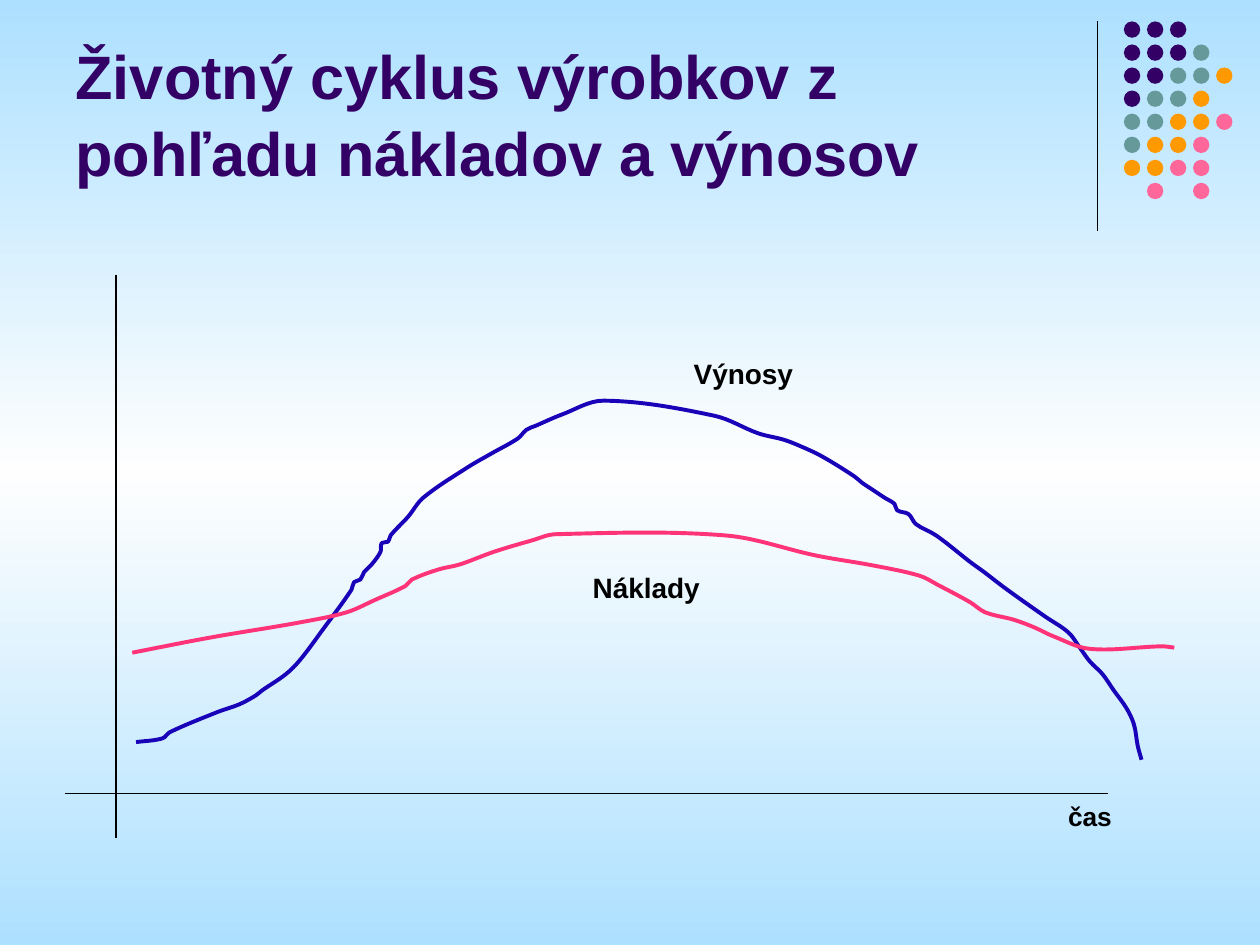
from copy import deepcopy
from math import dist

from pptx import Presentation
from pptx.dml.color import RGBColor
from pptx.enum.shapes import MSO_CONNECTOR, MSO_SHAPE
from pptx.enum.text import MSO_ANCHOR, MSO_AUTO_SIZE, PP_ALIGN
from pptx.oxml.ns import qn
from pptx.util import Inches, Pt

LINE, DOT = MSO_CONNECTOR.STRAIGHT, MSO_SHAPE.OVAL
LEFT, CENTER = PP_ALIGN.LEFT, PP_ALIGN.CENTER
BOTTOM, TOP = MSO_ANCHOR.BOTTOM, MSO_ANCHOR.TOP
NO_FIT = MSO_AUTO_SIZE.NONE
WIDTH, HEIGHT = 10, 7.5
COLORS = {
    "sky": "ADE0FF", "white": "FEFEFE", "black": "000000",
    "purple": "330066", "teal": "669999", "orange": "FF9900",
    "pink": "FF6699", "gains": "1903B9", "costs": "FF3377",
}
DOT_KEYS = {"p": "purple", "t": "teal", "o": "orange", "r": "pink"}
DOT_ROWS = ["ppp", "pppt", "pptto", "ptto", "ttoor", "toor", "oorr", " r r"]
GAINS = [
    (1.08, 5.89), (1.29, 5.86), (1.35, 5.81), (1.73, 5.65), (1.9, 5.59),
    (2.03, 5.52), (2.08, 5.48), (2.27, 5.35), (2.38, 5.24), (2.56, 5),
    (2.79, 4.68), (2.81, 4.62), (2.86, 4.6), (2.89, 4.54), (2.95, 4.48),
    (3.02, 4.38), (3.03, 4.31), (3.08, 4.3), (3.1, 4.25), (3.24, 4.1),
    (3.36, 3.95), (3.71, 3.71), (3.9, 3.6), (4.11, 3.48), (4.18, 3.41),
    (4.25, 3.38), (4.46, 3.29), (4.79, 3.18), (5.67, 3.3), (6.02, 3.44),
    (6.22, 3.49), (6.35, 3.54), (6.52, 3.62), (6.78, 3.78), (6.84, 3.83),
    (6.93, 3.89), (7.02, 3.95), (7.1, 4), (7.12, 4.05), (7.21, 4.08),
    (7.27, 4.16), (7.43, 4.25), (7.7, 4.46), (7.81, 4.54), (7.98, 4.67),
    (8.29, 4.89), (8.48, 5.02), (8.57, 5.14), (8.65, 5.25), (8.75, 5.35),
    (8.84, 5.48), (8.94, 5.62), (9, 5.75), (9.03, 5.92), (9.06, 6.03),
]
COSTS = [
    (1.05, 5.18), (1.67, 5.06), (2.38, 4.94), (2.75, 4.86), (2.98, 4.76),
    (3.22, 4.65), (3.27, 4.6), (3.48, 4.52), (3.65, 4.48), (3.92, 4.38),
    (4.22, 4.29), (4.41, 4.24), (5.76, 4.25), (6.48, 4.41), (6.94, 4.49),
    (7.3, 4.57), (7.44, 4.64), (7.7, 4.78), (7.82, 4.86), (8.05, 4.92),
    (8.21, 4.98), (8.36, 5.05), (8.65, 5.15), (9.22, 5.13), (9.32, 5.14),
]


def rgb(name):
    return RGBColor.from_string(COLORS[name])


def box(left, top, width, height):
    return [Inches(n) for n in (left, top, width, height)]


def paint_sky(slide):
    fill = slide.background.fill
    fill.gradient()
    fill.gradient_angle = 270
    for stop in fill.gradient_stops:
        stop.color.rgb = rgb("sky")
    stops = next(slide._element.iter(qn("a:gsLst")))
    stops.insert(1, deepcopy(stops[0]))
    for stop, place, name in zip(fill.gradient_stops, (0, 0.5, 1), ("sky", "white", "sky")):
        stop.position = place
        stop.color.rgb = rgb(name)


def add_line(slide, start, end):
    line = slide.shapes.add_connector(LINE, *box(*start, *end))
    line.line.color.rgb = rgb("black")
    line.line.width = Pt(0.75)
    props = line._element.spPr
    props.append(props.makeelement(qn("a:effectLst"), {}))


def add_dots(slide, left=8.92, top=0.17, step=0.183, size=0.13):
    for row, keys in enumerate(DOT_ROWS):
        for col, key in enumerate(keys):
            if key == " ":
                continue
            place = box(left + col * step, top + row * step, size, size)
            dot = slide.shapes.add_shape(DOT, *place)
            dot.shadow.inherit = False
            dot.fill.solid()
            dot.fill.fore_color.rgb = rgb(DOT_KEYS[key])
            dot.line.fill.background()


def lean(knots, i):
    """Unit direction of the curve at knot i."""
    a, b = knots[max(i - 1, 0)], knots[min(i + 1, len(knots) - 1)]
    span = dist(a, b)
    return (b[0] - a[0]) / span, (b[1] - a[1]) / span


def smooth(shape):
    """Turn the straight parts of a freeform into Bezier curves."""
    steps = list(shape._element.iter(qn("a:lnTo")))
    pts = list(shape._element.iter(qn("a:pt")))
    knots = [(int(pt.get("x")), int(pt.get("y"))) for pt in pts]
    for i, step in enumerate(steps):
        a, b = knots[i], knots[i + 1]
        reach = dist(a, b) / 3
        out, into = lean(knots, i), lean(knots, i + 1)
        first = [p + reach * d for p, d in zip(a, out)]
        last = [p - reach * d for p, d in zip(b, into)]
        curve = step.makeelement(qn("a:cubicBezTo"), {})
        for x, y in (first, last, b):
            spot = {"x": str(round(x)), "y": str(round(y))}
            curve.append(step.makeelement(qn("a:pt"), spot))
        step.getparent().replace(step, curve)


def add_curve(slide, knots, name):
    pts = [(Inches(x), Inches(y)) for x, y in knots]
    form = slide.shapes.build_freeform(*pts[0])
    form.add_line_segments(pts[1:], close=False)
    shape = form.convert_to_shape()
    smooth(shape)
    shape.shadow.inherit = False
    shape.fill.background()
    shape.line.color.rgb = rgb(name)
    shape.line.width = Pt(2.25)


def set_text(shape, text, size, color, align, anchor, wrap):
    frame = shape.text_frame
    frame.text = text
    look = {"word_wrap": wrap, "auto_size": NO_FIT, "vertical_anchor": anchor}
    for key, value in look.items():
        setattr(frame, key, value)
    para = frame.paragraphs[0]
    para.alignment = align
    font = para.runs[0].font
    for key, value in {"name": "Arial", "size": Pt(size), "bold": True}.items():
        setattr(font, key, value)
    font.color.rgb = rgb(color)
    return para


def add_title(slide, text):
    title = slide.shapes.title
    spots = zip(("left", "top", "width", "height"), box(0.5, 0.13, 8.25, 1.42))
    for key, value in spots:
        setattr(title, key, value)
    para = set_text(title, text, 35, "purple", LEFT, BOTTOM, True)
    para.line_spacing = 1.05


def add_label(slide, text, middle, top, size=16, width=1):
    label = slide.shapes.add_textbox(*box(middle - width / 2, top, width, 0.37))
    set_text(label, text, size, "black", CENTER, TOP, False)


def main():
    deck = Presentation()
    deck.slide_width, deck.slide_height = Inches(WIDTH), Inches(HEIGHT)
    slide = deck.slides.add_slide(deck.slide_layouts[5])
    paint_sky(slide)
    add_line(slide, (8.71, 0.17), (8.71, 1.83))
    add_dots(slide)
    add_title(slide, "Životný cyklus výrobkov z pohľadu nákladov a výnosov")
    add_line(slide, (0.92, 2.18), (0.92, 6.65))
    add_line(slide, (0.52, 6.3), (8.79, 6.3))
    add_curve(slide, GAINS, "gains")
    add_curve(slide, COSTS, "costs")
    add_label(slide, "Výnosy", 5.9, 2.78)
    add_label(slide, "Náklady", 5.13, 4.48)
    add_label(slide, "čas", 8.65, 6.3, size=15, width=0.55)
    deck.save("out.pptx")


if __name__ == "__main__":
    main()
